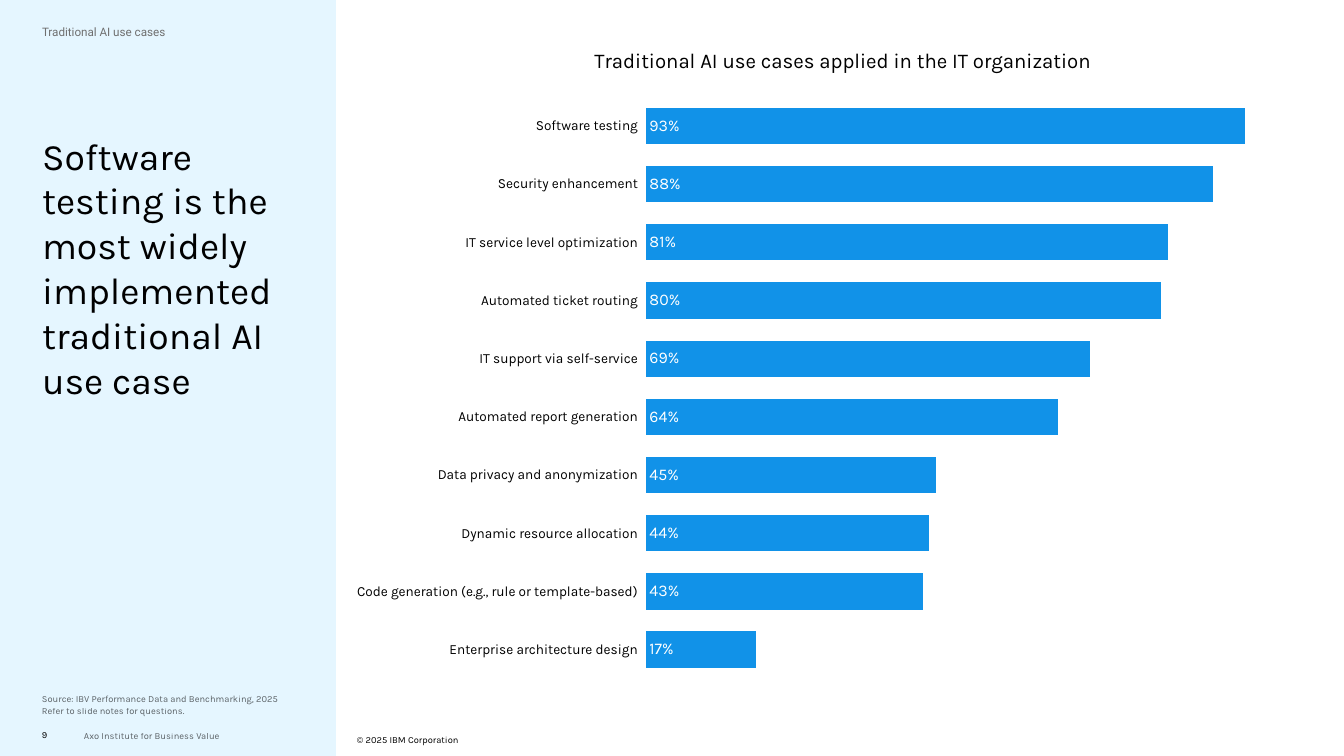
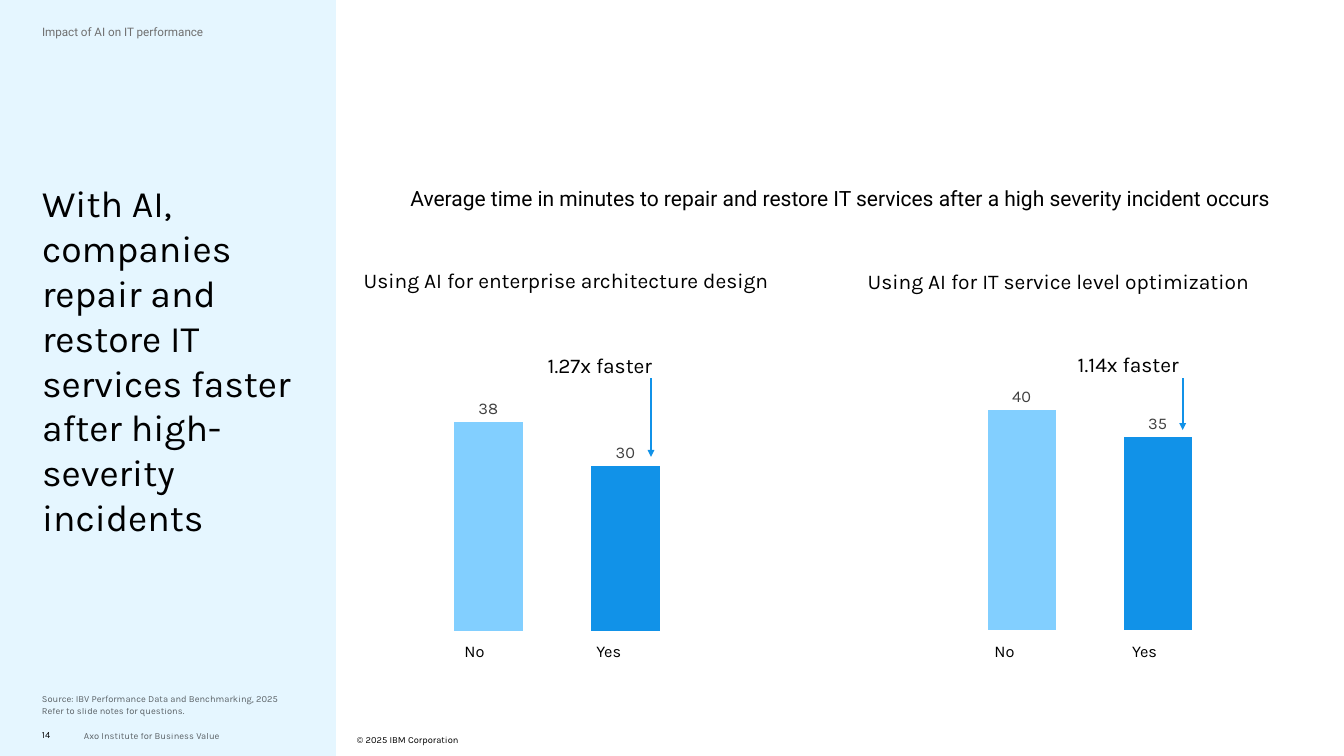
from dataclasses import dataclass

from lxml.etree import SubElement
from pptx import Presentation
from pptx.chart.data import CategoryChartData as ChartData
from pptx.dml.color import RGBColor as Rgb
from pptx.enum.chart import XL_CHART_TYPE as ChartType, XL_LABEL_POSITION as LabelSpot
from pptx.enum.shapes import MSO_CONNECTOR as Connector, MSO_SHAPE as Shape
from pptx.enum.text import MSO_ANCHOR as Anchor, PP_ALIGN as Align
from pptx.oxml.ns import qn
from pptx.util import Inches, Pt


@dataclass(frozen=True)
class Theme:
    sans: str = "Karla"
    plain: str = "Roboto"
    ink: str = "000000"
    grey: str = "6F6F6F"
    label: str = "404040"
    white: str = "FFFFFF"
    panel: str = "E5F6FF"
    pale_blue: str = "82CFFF"
    blue: str = "1192E8"
    title: int = 32
    heading: int = 18
    value: int = 14
    category: int = 12
    kicker: int = 10
    small: int = 8
    leading: float = 1.1
    faded: int = 60  # percent opacity of quiet text


class Deck:
    """Draws on the current slide; lengths are columns and rows of a 16 x 9 grid."""
    columns, rows = 16, 9

    def __init__(self, theme):
        self.theme = theme
        self.prs = Presentation()
        self.prs.slide_width, self.prs.slide_height = Inches(16), Inches(9)
        self.slide = None

    def place(self, x, y):
        return (round(self.prs.slide_width * x / self.columns),
                round(self.prs.slide_height * y / self.rows))

    def box(self, left, top, width, height):
        return *self.place(left, top), *self.place(width, height)

    def text(self, area, lines, size, font=None, color=None, anchor=Anchor.TOP,
             align=Align.LEFT, leading=None, opacity=None, inset=(0, 0)):
        frame = self.slide.shapes.add_textbox(*self.box(*area)).text_frame
        frame.word_wrap = True
        frame.vertical_anchor = anchor
        frame.margin_left = frame.margin_right = Inches(inset[0])
        frame.margin_top = frame.margin_bottom = Inches(inset[1])
        for i, line in enumerate(lines.split("\n")):
            paragraph = frame.add_paragraph() if i else frame.paragraphs[0]
            paragraph.alignment = align
            if leading:
                paragraph.line_spacing = leading
            run = paragraph.add_run()
            run.text = line
            run.font.name = font or self.theme.sans
            run.font.size = Pt(size)
            run.font.color.rgb = Rgb.from_string(color or self.theme.ink)
            if opacity:
                tint = next(run.font.fill._xPr.iter(qn("a:srgbClr")))
                SubElement(tint, qn("a:alpha"), val=str(opacity * 1000))

    def panel(self, area, color):
        panel = self.slide.shapes.add_shape(Shape.RECTANGLE, *self.box(*area))
        panel.shadow.inherit = False
        panel.fill.solid()
        panel.fill.fore_color.rgb = Rgb.from_string(color)
        panel.line.fill.background()

    def arrow(self, start, end):
        arrow = self.slide.shapes.add_connector(
            Connector.STRAIGHT, *self.place(*start), *self.place(*end))
        arrow.line.color.rgb = Rgb.from_string(self.theme.blue)
        arrow.line.width = Pt(1.5)
        SubElement(arrow.line._get_or_add_ln(), qn("a:tailEnd"), type="triangle")
        SubElement(arrow._element.spPr, qn("a:effectLst"))

    def new_slide(self, kicker, title, title_top, title_height, number):
        """Start a slide with the side panel, title and footers."""
        t = self.theme
        self.slide = self.prs.slides.add_slide(self.prs.slide_layouts[6])
        quiet = dict(size=t.small, opacity=t.faded)
        self.panel((0, 0, 4, 9), t.panel)
        self.text((4.25, 8.69, 2.5, 0.24), "© 2025 IBM Corporation", t.small,
                  anchor=Anchor.MIDDLE)
        self.text((1, 8.64, 2.5, 0.24), "Axo Institute for Business Value",
                  anchor=Anchor.MIDDLE, **quiet)
        self.text((0.5, 8.63, 0.36, 0.24), str(number), t.small, anchor=Anchor.MIDDLE)
        self.text((0.5, title_top, 3.25, title_height), title, t.title)
        self.text((0.5, 0.29, 3.25, 0.9), kicker, t.kicker, t.plain, t.grey)
        self.text((0.5, 8, 3.3, 0.53),
                  "Source: IBV Performance Data and Benchmarking, 2025\n"
                  "Refer to slide notes for questions.",
                  anchor=Anchor.BOTTOM, leading=t.leading, **quiet)

    def chart(self, kind, area, values, plot_area, top, gap, number_format,
              label_spot, label_color, point_colors=(), title=None):
        """Add a one-series bar chart; plot_area is in shares of the chart."""
        t = self.theme
        data = ChartData(number_format=number_format)
        data.categories = list(values)
        data.add_series("Series 1", list(values.values()))
        chart = self.slide.shapes.add_chart(kind, *self.box(*area), data).chart
        chart.has_legend = False
        chart.font.name = t.sans
        chart.font.size = Pt(t.kicker)
        chart.font.color.rgb = Rgb.from_string(t.ink)

        chart.has_title = bool(title)
        if title:
            run = chart.chart_title.text_frame.paragraphs[0].add_run()
            run.text = title
            run.font.name = t.sans
            run.font.size = Pt(t.heading)
            run.font.bold = False
            run.font.color.rgb = Rgb.from_string(t.ink)
            chart.chart_title.include_in_layout = False

        # Axes
        scale, names = chart.value_axis, chart.category_axis
        scale.minimum_scale, scale.maximum_scale = 0, top
        scale.has_major_gridlines = False
        scale.visible = False
        names.format.line.fill.background()
        names.tick_labels.font.size = Pt(t.category)
        names.visible = bool(title)

        # Bars and their values
        plot = chart.plots[0]
        plot.gap_width = gap
        plot.vary_by_categories = False
        bars = plot.series[0]
        bars.invert_if_negative = False
        bars.format.fill.solid()
        bars.format.fill.fore_color.rgb = Rgb.from_string(t.blue)
        for i, color in enumerate(point_colors):
            fill = bars.points[i].format.fill
            fill.solid()
            fill.fore_color.rgb = Rgb.from_string(color)
        plot.has_data_labels = True
        labels = plot.data_labels
        labels.show_value = True
        labels.position = label_spot
        labels.number_format = number_format
        labels.number_format_is_linked = False
        labels.font.name = t.sans
        labels.font.size = Pt(t.value)
        labels.font.color.rgb = Rgb.from_string(label_color)

        # Fixed inner plot area
        plot_xml = next(chart._chartSpace.iter(qn("c:plotArea")))
        for old in plot_xml.findall(qn("c:layout")):
            plot_xml.remove(old)
        layout = SubElement(plot_xml, qn("c:layout"))
        plot_xml.insert(0, layout)
        manual = SubElement(layout, qn("c:manualLayout"))
        settings = [("layoutTarget", "inner"), ("xMode", "edge"), ("yMode", "edge"),
                    *zip("xywh", plot_area)]
        for tag, value in settings:
            SubElement(manual, qn(f"c:{tag}"), val=str(value))


def use_cases_slide(deck):
    deck.new_slide("Traditional AI use cases",
                   "Software testing is the most widely implemented traditional AI use case",
                   1.58, 4, 9)
    adoption = {
        "Enterprise architecture design": 0.17,
        "Code generation (e.g., rule or template-based)": 0.43,
        "Dynamic resource allocation": 0.44,
        "Data privacy and anonymization": 0.45,
        "Automated report generation": 0.64,
        "IT support via self-service": 0.69,
        "Automated ticket routing": 0.8,
        "IT service level optimization": 0.81,
        "Security enhancement": 0.88,
        "Software testing": 0.93,
    }
    deck.chart(ChartType.BAR_CLUSTERED, (4.25, 0.29, 11.25, 8.46), adoption,
               (0.286, 0.102, 0.701, 0.819), top=1, gap=60, number_format="0%",
               label_spot=LabelSpot.INSIDE_BASE, label_color=deck.theme.white,
               title="Traditional AI use cases applied in the IT organization")


def repair_time_slide(deck):
    t = deck.theme
    deck.new_slide("Impact of AI on IT performance",
                   "With AI, companies repair and restore IT services faster "
                   "after high-severity incidents", 2.15, 3.6, 14)
    deck.text((4.42, 2.16, 11.17, 0.4),
              "Average time in minutes to repair and restore IT services "
              "after a high severity incident occurs",
              t.heading, t.plain, align=Align.CENTER, inset=(0.1, 0.05))

    # heading, its place, minutes, chart area, plot left and width,
    # answer lefts, speed-up, its place, arrow tip
    comparisons = [
        ("Using AI for enterprise architecture design", (4.33, 3.15), (38, 30),
         (4.46, 4.12, 4.9, 3.64), (0.11, 0.666), (5.43, 7),
         "1.27x faster", (6.52, 4.17), (7.75, 5.44)),
        ("Using AI for IT service level optimization", (10.33, 3.17), (40, 35),
         (10.46, 4.11, 5.48, 3.64), (0.163, 0.591), (11.74, 13.38),
         "1.14x faster", (12.83, 4.16), (14.08, 5.12)),
    ]
    for (heading, heading_at, minutes, area, (plot_left, plot_width),
         answer_lefts, speed_up, speed_up_at, tip) in comparisons:
        deck.text((*heading_at, 5.25, 0.4), heading, t.heading, leading=t.leading)
        deck.chart(ChartType.COLUMN_CLUSTERED, area, dict(zip("12", minutes)),
                   (plot_left, 0.031, plot_width, 0.902), top=50, gap=100,
                   number_format="#,##0", label_spot=LabelSpot.OUTSIDE_END,
                   label_color=t.label, point_colors=(t.pale_blue, t.blue))
        for answer, left in zip(("No", "Yes"), answer_lefts):
            deck.text((left, 7.58, 1.18, 0.34), answer, t.value, inset=(0.1, 0.05))
        deck.text((*speed_up_at, 2.5, 0.25), speed_up, t.heading, leading=t.leading)
        deck.arrow((tip[0], 4.5), tip)


def main():
    deck = Deck(Theme())
    use_cases_slide(deck)
    repair_time_slide(deck)
    deck.prs.save("out.pptx")


if __name__ == "__main__":
    main()
